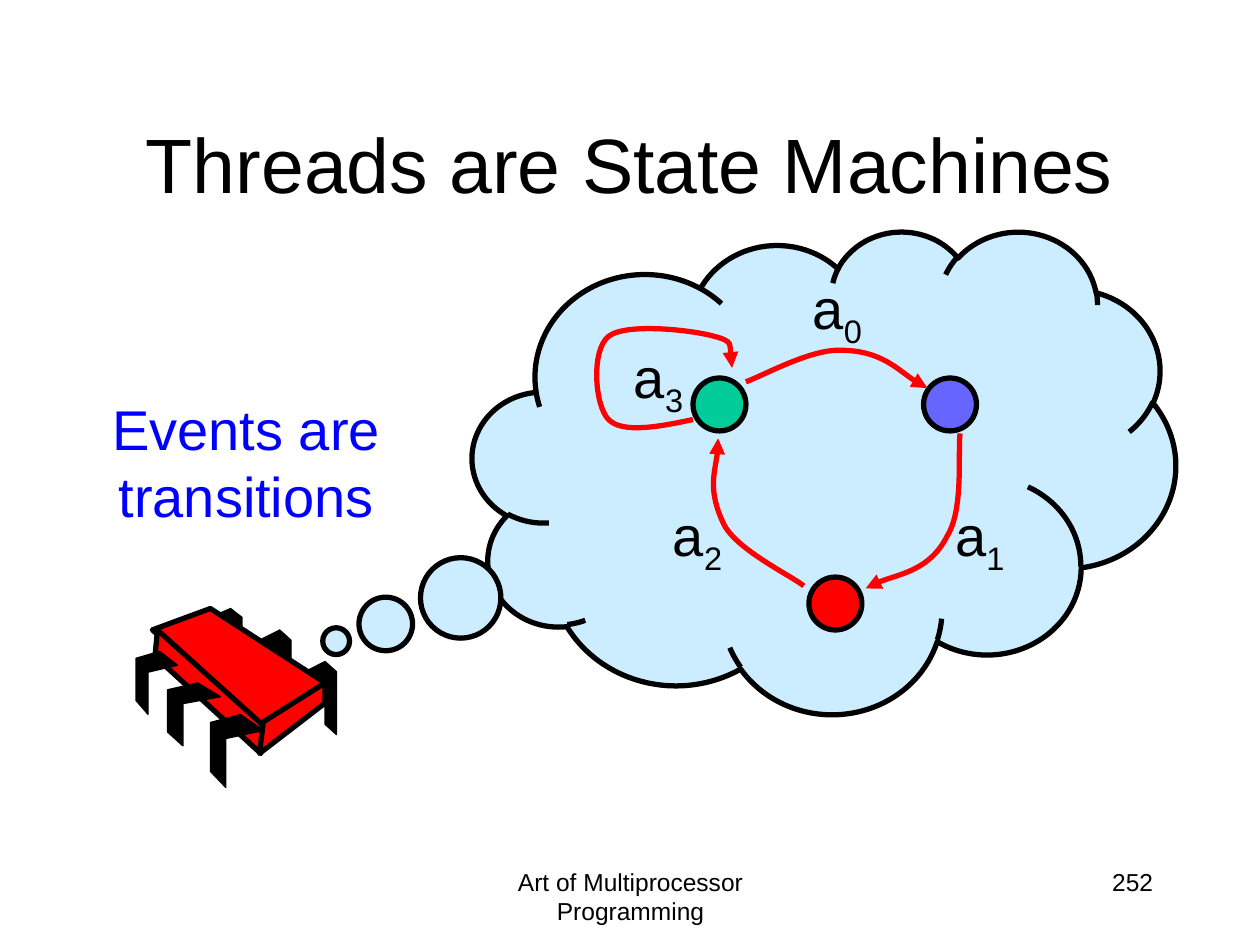
from dataclasses import dataclass

from lxml import etree
from pptx import Presentation
from pptx import util as u
from pptx.dml.color import RGBColor
from pptx.enum import shapes, text
from pptx.oxml.ns import qn


@dataclass(frozen=True)
class Theme:
    font: str = "Arial"
    ink: str = "000000"
    cloud: str = "CCECFF"
    red: str = "FF0000"
    green: str = "00CC99"
    violet: str = "6666FF"
    blue: str = "0000FF"
    title: int = 44
    label: int = 32
    footer: int = 14
    heavy: float = 3
    fine: float = 0.75


THEME = Theme()
ALIGN = text.PP_ALIGN

# Leg outlines as fractions of the leg's width and height
REAR_LEG = [(0, 0.14), (0.64, 0), (1, 0.14), (1, 1), (0.64, 0.86), (0.64, 0.29), (0, 0.43)]
FRONT_LEG = [(0.57, 0), (1, 0.22), (0.29, 0.33), (0.29, 1), (0, 0.78), (0, 0.11)]

REAR_LEGS = [(2.42, 5.25, 0.25, 0.58), (2.06, 5, 0.25, 0.58), (1.67, 4.83, 0.25, 0.5)]
FRONT_LEGS = [(1.67, 5.67, 0.42, 0.58), (1.33, 5.42, 0.42, 0.5), (1.08, 5.17, 0.33, 0.5)]
CHIP_FACES = [
    [(1.67, 4.83), (2.58, 5.42), (2.07, 5.76), (1.21, 5)],
    [(1.25, 5), (2.08, 5.75), (2.07, 5.98), (1.23, 5.21)],
    [(2.58, 5.42), (2.58, 5.58), (2.06, 5.98), (2.09, 5.73)],
]

STATES = [(5.5, 3, THEME.green), (7.33, 3, THEME.violet), (6.42, 4.58, THEME.red)]
# Each transition: start point, then two control points and an end point per curve
TRANSITIONS = [
    [(5.92, 3.03), (6.04, 2.99), (6.43, 2.77), (6.67, 2.78),
     (6.99, 2.78), (7.22, 3.02), (7.36, 3.08)],
    [(7.62, 3.44), (7.6, 3.58), (7.65, 4.04), (7.52, 4.25),
     (7.38, 4.53), (7.01, 4.58), (6.87, 4.67)],
    [(6.38, 4.65), (6.28, 4.57), (5.86, 4.37), (5.75, 4.17),
     (5.61, 3.89), (5.71, 3.62), (5.7, 3.48)],
    [(5.5, 3.33), (5.22, 3.39), (4.94, 3.44), (4.83, 3.33),
     (4.72, 3.22), (4.69, 2.78), (4.83, 2.67), (4.97, 2.56), (5.5, 2.62), (5.67, 2.67),
     (5.83, 2.71), (5.8, 2.87), (5.81, 2.92)],
]
LABELS = [(6.31, 2.12), (7.44, 3.92), (5.2, 3.92), (4.89, 2.67)]


def inches(values):
    return [u.Inches(value) for value in values]


def style(shape, fill=None, line=THEME.ink, width=THEME.heavy):
    shape.shadow.inherit = False
    if fill:
        shape.fill.solid()
        shape.fill.fore_color.rgb = RGBColor.from_string(fill)
    else:
        shape.fill.background()
    shape.line.color.rgb = RGBColor.from_string(line)
    shape.line.width = u.Pt(width)


def write(box, words, size=THEME.label, color=THEME.ink, align=ALIGN.CENTER,
          subscript="", wrap=True, grow=False):
    frame = box.text_frame
    frame.word_wrap = wrap
    if grow:
        frame.auto_size = text.MSO_AUTO_SIZE.SHAPE_TO_FIT_TEXT
    para = frame.paragraphs[0]
    para.alignment = align
    for part in filter(None, (words, subscript)):
        span = para.add_run()
        span.text = part
        span.font.name = THEME.font
        span.font.size = u.Pt(size)
        span.font.color.rgb = RGBColor.from_string(color)
    if subscript:
        span._r.get_or_add_rPr().set("baseline", "-25000")


def add_text(page, words, at, **format):
    write(page.shapes.add_textbox(*inches(at)), words, **format)


def add_title(page, words, at):
    title = page.shapes.title
    title.left, title.top, title.width, title.height = inches(at)
    title.text_frame.vertical_anchor = text.MSO_ANCHOR.MIDDLE
    write(title, words, size=THEME.title)


def add_preset(page, kind, at, fill):
    shape = page.shapes.add_shape(kind, *inches(at))
    style(shape, fill)
    return shape


def add_outline(parent, points, close=True):
    start, *rest = [inches(point) for point in points]
    builder = parent.shapes.build_freeform(*start)
    builder.add_line_segments(rest, close=close)
    return builder.convert_to_shape()


def add_curved_arrow(page, points):
    """Draw a chain of Bézier curves that ends in an arrowhead."""
    arrow = add_outline(page, points, close=False)
    style(arrow, line=THEME.red)
    outline = next(arrow._element.iter(qn("a:path")))
    segments = outline.findall(qn("a:lnTo"))
    for first in range(0, len(segments), 3):
        curve = etree.SubElement(outline, qn("a:cubicBezTo"))
        for segment in segments[first:first + 3]:
            curve.append(segment[0])
            outline.remove(segment)
    line = arrow.line._get_or_add_ln()
    etree.SubElement(line, qn("a:tailEnd"), type="triangle")


def add_legs(chip, profile, places):
    for left, top, width, height in places:
        points = [(left + x * width, top + y * height) for x, y in profile]
        style(add_outline(chip, points), THEME.ink, width=THEME.fine)


def add_chip(page):
    chip = page.shapes.add_group_shape()
    add_legs(chip, REAR_LEG, REAR_LEGS)
    for face in CHIP_FACES:
        style(add_outline(chip, face), THEME.red)
    add_legs(chip, FRONT_LEG, FRONT_LEGS)


def add_cloud(page):
    cloud = add_preset(page, shapes.MSO_SHAPE.CLOUD_CALLOUT,
                       (3.75, 1.83, 5.58, 3.83), THEME.cloud)
    cloud.adjustments[0] = -0.694
    cloud.adjustments[1] = 0.351


def add_state_machine(page):
    for left, top, fill in STATES:
        add_preset(page, shapes.MSO_SHAPE.OVAL, (left, top, 0.42, 0.42), fill)
    for points in TRANSITIONS:
        add_curved_arrow(page, points)
    for index, place in enumerate(LABELS):
        add_text(page, "a", (*place, 0.63, 0.64), subscript=str(index),
                 align=ALIGN.RIGHT, wrap=False, grow=True)


def main():
    deck = Presentation()
    deck.slide_width, deck.slide_height = inches((10, 7.5))
    page = deck.slides.add_slide(deck.slide_layouts[5])
    add_text(page, "Art of Multiprocessor Programming", (3.42, 6.83, 3.17, 0.5),
             size=THEME.footer)
    add_text(page, "252", (7.17, 6.83, 2.08, 0.5), size=THEME.footer, align=ALIGN.RIGHT)
    add_cloud(page)
    add_title(page, "Threads are State Machines", (0.75, 0.67, 8.5, 1.25))
    add_chip(page)
    add_state_machine(page)
    add_text(page, "Events are transitions", (0.58, 3.08, 2.75, 1.17),
             color=THEME.blue, grow=True)
    deck.save("out.pptx")


if __name__ == "__main__":
    main()
